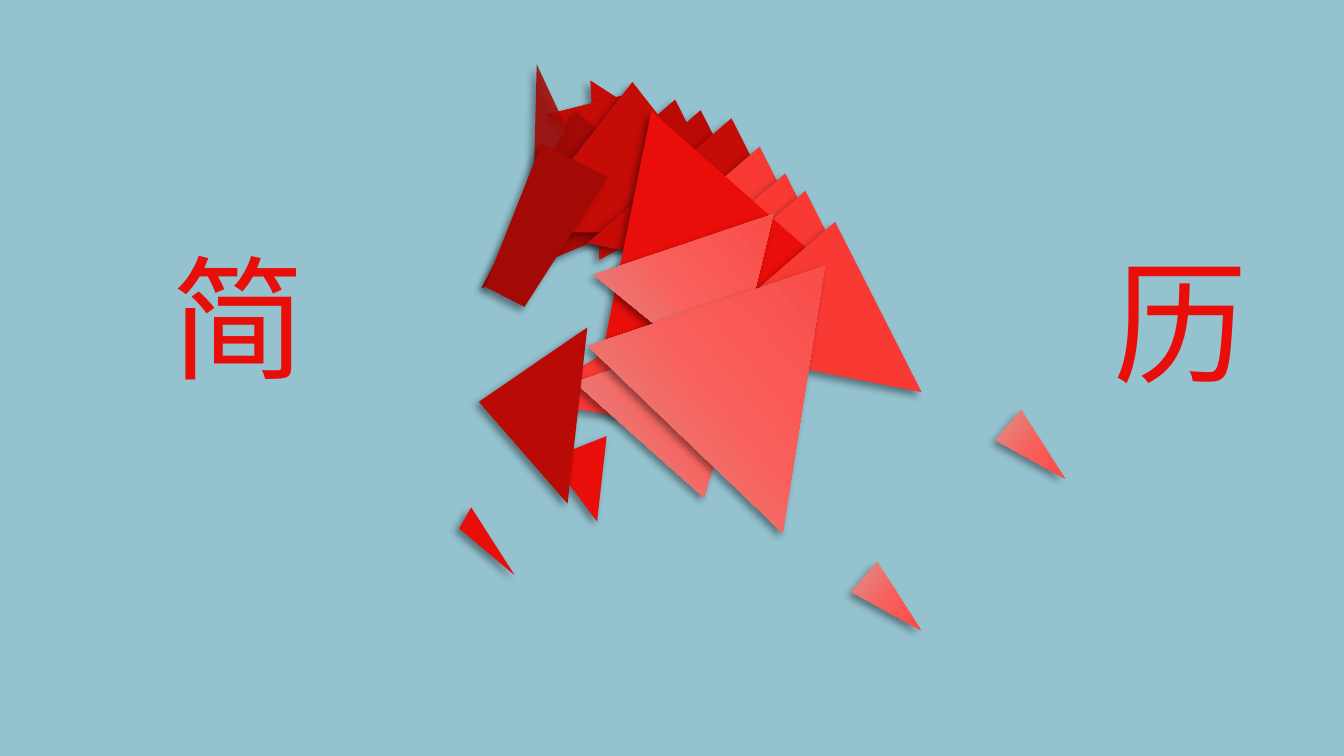
from dataclasses import dataclass

from lxml import etree
from pptx import Presentation
from pptx.dml.color import RGBColor
from pptx.enum.shapes import MSO_SHAPE
from pptx.enum.text import MSO_AUTO_SIZE, PP_ALIGN
from pptx.oxml.ns import qn
from pptx.util import Pt

RECT = MSO_SHAPE.RECTANGLE
TRIANGLE = MSO_SHAPE.ISOSCELES_TRIANGLE
TRAPEZOID = MSO_SHAPE.TRAPEZOID
CENTER = PP_ALIGN.CENTER
GROW = MSO_AUTO_SIZE.SHAPE_TO_FIT_TEXT


@dataclass(frozen=True)
class Theme:
    sky: str = "94C2CF"
    wine: str = "A30905"
    crimson: str = "BA0A06"
    red: str = "C50C07"
    scarlet: str = "E90E09"
    coral: str = "F83934"
    blush: tuple = ((0, "D99694"), (50, "F95F5A"), (100, "F84642"))
    blush_angle: int = 160
    shadow: str = "000000"
    font: str = "Noto Sans CJK JP"
    title_size: int = 72


@dataclass(frozen=True)
class Shard:
    x: float
    y: float
    w: float
    h: float
    rot: float
    fill: str | tuple
    adj: float = 0.5
    kind: int = TRIANGLE
    alpha: int = 100


T = Theme()


def mane(x: float, y: float, fill: str, rot: float = 11.1) -> Shard:
    return Shard(x, y, 126, 80.6, rot, fill)


def splinter(x: float, y: float, h: float, fill: str | tuple) -> Shard:
    return Shard(x, y, 43.2, h, 237.4, fill, 0.858)


SHARDS = [
    Shard(285.1, 240.5, 46.1, 28.8, 276.4, T.scarlet, 0.668),
    mane(304.6, 58.3, T.crimson),
    mane(290.9, 52.6, T.crimson),
    Shard(293.8, 37.4, 87.8, 85.7, 330, T.red),
    Shard(293, 43.2, 43.2, 45.4, 281.4, T.red),
    Shard(265.7, 72, 77, 105.1, 219.7, T.wine, 0.715),
    Shard(279.4, 33.8, 28.8, 61.2, 348.2, T.wine, alpha=87),
    mane(275.8, 43.9, T.red, 0),
    Shard(269.3, 81.4, 39.6, 82.1, 207.1, T.wine, 0.2, TRAPEZOID),
    mane(321.1, 62.6, T.red),
    mane(336.2, 77.8, T.coral),
    mane(349.9, 92.2, T.coral),
    mane(360.7, 101.5, T.coral),
    Shard(324, 79.9, 141.8, 122.4, 101.4, T.scarlet),
    Shard(293, 158.4, 71.3, 94.3, 259.3, T.coral),
    mane(376.6, 118.1, T.coral),
    Shard(328.3, 128.9, 101.5, 80.6, 161.4, T.blush),
    Shard(318.2, 186.5, 101.5, 80.6, 161.4, T.blush, 0.549),
    Shard(235.4, 193, 95, 53.3, 276.4, T.crimson, 0.515),
    Shard(331.9, 160.6, 133.9, 128.2, 161.4, T.blush),
    splinter(237.6, 287.3, 11.5, T.scarlet),
    splinter(451.4, 314.6, 20.2, T.blush),
    splinter(528.5, 233.3, 20.2, T.blush),
]


def add(parent, tag: str, **attrs):
    return etree.SubElement(parent, qn(tag), {k: str(v) for k, v in attrs.items()})


def add_color(parent, color: str, alpha: int = 100) -> None:
    clr = add(parent, "a:srgbClr", val=color)
    if alpha < 100:
        add(clr, "a:alpha", val=alpha * 1000)


def set_gradient(s, stops: tuple) -> None:
    s.fill.gradient()
    s.fill.gradient_angle = 0
    grad = s._element.spPr.find(qn("a:gradFill"))
    for child in list(grad):
        grad.remove(child)
    grad.set("rotWithShape", "1")
    gs_lst = add(grad, "a:gsLst")
    for pos, color in stops:
        add_color(add(gs_lst, "a:gs", pos=pos * 1000), color)
    add(grad, "a:lin", ang=T.blush_angle * 60000, scaled=0)


def set_solid(s, color: str, alpha: int = 100) -> None:
    s.fill.solid()
    s.fill.fore_color.rgb = RGBColor.from_string(color)
    if alpha < 100:
        clr = s._element.spPr.find(qn("a:solidFill")).find(qn("a:srgbClr"))
        add(clr, "a:alpha", val=alpha * 1000)


def set_shadow(s) -> None:
    s.shadow.inherit = False
    effects = s._element.spPr.find(qn("a:effectLst"))
    shadow = add(effects, "a:outerShdw", blurRad=Pt(4), dist=Pt(3),
                 dir=135 * 60000, algn="tr", rotWithShape=0)
    add_color(shadow, T.shadow, 40)


def draw_background(shapes, w: float, h: float) -> None:
    s = shapes.add_shape(RECT, 0, 0, Pt(w), Pt(h))
    set_solid(s, T.sky)
    s.line.color.rgb = RGBColor.from_string(T.sky)
    s.line.width = Pt(2)
    s.shadow.inherit = False


def draw_shard(shapes, shard: Shard) -> None:
    s = shapes.add_shape(shard.kind, Pt(shard.x), Pt(shard.y), Pt(shard.w), Pt(shard.h))
    s.rotation = shard.rot
    s.adjustments[0] = shard.adj
    if isinstance(shard.fill, tuple):
        set_gradient(s, shard.fill)
    else:
        set_solid(s, shard.fill, shard.alpha)
    s.line.fill.background()
    set_shadow(s)


def draw_title(shapes, text: str, x: float, y: float) -> None:
    tf = shapes.add_textbox(Pt(x), Pt(y), Pt(124.6), Pt(94.3)).text_frame
    tf.word_wrap = True
    tf.auto_size = GROW
    p = tf.paragraphs[0]
    p.alignment = CENTER
    r = p.add_run()
    r.text = text
    r.font.size = Pt(T.title_size)
    r.font.color.rgb = RGBColor.from_string(T.scarlet)
    r.font.name = T.font
    add(r.font._element, "a:ea", typeface=T.font)


def main() -> None:
    width, height = 720, 405
    prs = Presentation()
    prs.slide_width, prs.slide_height = Pt(width), Pt(height)
    shapes = prs.slides.add_slide(prs.slide_layouts[6]).shapes
    draw_background(shapes, width, height)
    for shard in SHARDS:
        draw_shard(shapes, shard)
    draw_title(shapes, "简", 65.5, 122.4)
    draw_title(shapes, "历", 570.2, 124.6)
    prs.save("out.pptx")


if __name__ == "__main__":
    main()
